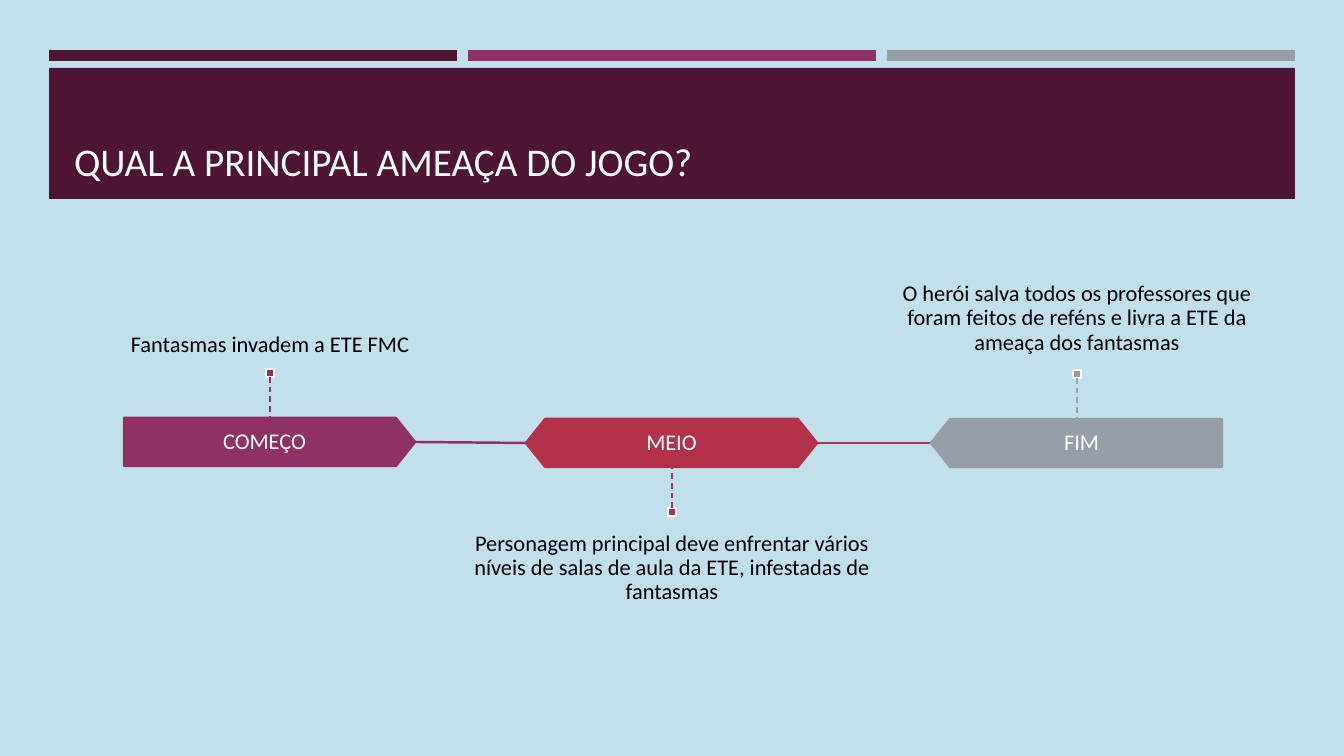
from lxml import etree
from pptx import Presentation
from pptx.dml.color import RGBColor
from pptx.enum.dml import MSO_LINE
from pptx.enum.shapes import MSO_CONNECTOR, MSO_SHAPE
from pptx.enum.text import MSO_ANCHOR, PP_ALIGN
from pptx.oxml.ns import qn
from pptx.util import Pt

RECTANGLE, PENTAGON, HEXAGON = MSO_SHAPE.RECTANGLE, MSO_SHAPE.PENTAGON, MSO_SHAPE.HEXAGON
STRAIGHT, DASH = MSO_CONNECTOR.STRAIGHT, MSO_LINE.DASH
TOP, MIDDLE, BOTTOM = MSO_ANCHOR.TOP, MSO_ANCHOR.MIDDLE, MSO_ANCHOR.BOTTOM
LEFT, CENTER = PP_ALIGN.LEFT, PP_ALIGN.CENTER

PX = 914400 / 100.8
FONT = "Calibri"
WHITE, BLACK, SKY = "FFFFFF", "000000", "C2E0EB"
PLUM, PURPLE, RED, GREY = "4D1434", "903163", "B2324B", "969FA7"

TITLE = "QUAL A PRINCIPAL AMEAÇA DO JOGO?"
BAR_COLORS = [PLUM, PURPLE, GREY]
STAGES = [
    dict(name="COMEÇO", note="Fantasmas invadem a ETE FMC", color=PURPLE,
         shape=PENTAGON, left=124, top=418, rotation=0, shift=-5, above=True),
    dict(name="MEIO", color=RED, shape=HEXAGON, left=526, top=419, rotation=0,
         note="Personagem principal deve enfrentar vários níveis de salas de aula "
              "da ETE, infestadas de fantasmas", shift=0, above=False),
    dict(name="FIM", color=GREY, shape=PENTAGON, left=931, top=419, rotation=180,
         note="O herói salva todos os professores que foram feitos de reféns e "
              "livra a ETE da ameaça dos fantasmas", shift=5, above=True),
]
STAGE_W, STAGE_H = 291, 48
NOTE_W, NOTE_H = 405, 130
MARKER, STEM = 8, 41
NOTE_GAP = 48


def px(length):
    return round(length * PX)


def rgb(code):
    return RGBColor.from_string(code)


def add_block(kind, left, top, width, height, fill, line=None):
    block = page.shapes.add_shape(kind, px(left), px(top), px(width), px(height))
    block.shadow.inherit = False
    block.fill.solid()
    block.fill.fore_color.rgb = rgb(fill)
    if line:
        block.line.color.rgb = rgb(line)
        block.line.width = Pt(1.75)
    else:
        block.line.fill.background()
    return block


def add_text(text, left, top, width, height, color, size=16, align=CENTER,
             anchor=MIDDLE, inset=(0, 0)):
    """Add a one-paragraph box; inset is (horizontal, vertical) in px."""
    box = page.shapes.add_textbox(px(left), px(top), px(width), px(height))
    across, down = map(px, inset)
    frame_format = dict(word_wrap=True, vertical_anchor=anchor, margin_left=across,
                        margin_right=across, margin_top=down, margin_bottom=down)
    for name, value in frame_format.items():
        setattr(box.text_frame, name, value)
    para = box.text_frame.paragraphs[0]
    para.alignment, para.line_spacing = align, 0.9
    span = para.add_run()
    span.text = text
    for name, value in dict(name=FONT, size=Pt(size)).items():
        setattr(span.font, name, value)
    span.font.color.rgb = rgb(color)


def add_line(start, end, color, width):
    line = page.shapes.add_connector(STRAIGHT, *map(px, start + end))
    line.line.color.rgb = rgb(color)
    line.line.width = Pt(width)
    etree.SubElement(line._element.spPr, qn("a:effectLst"))
    return line


def add_stage(stage):
    left, top, color = stage["left"], stage["top"], stage["color"]
    center = left + STAGE_W // 2 + 1
    arrow = add_block(stage["shape"], left, top, STAGE_W, STAGE_H, color, color)
    arrow.adjustments[0] = 0.4
    arrow.rotation = stage["rotation"]
    add_text(stage["name"], left + stage["shift"], top, STAGE_W, STAGE_H, WHITE)

    if stage["above"]:
        edge, marker_top = top, top - STEM - MARKER
        note_top, anchor, site = top - NOTE_GAP - NOTE_H, BOTTOM, 2
    else:
        edge, marker_top = top + STAGE_H, top + STAGE_H + STEM
        note_top, anchor, site = edge + NOTE_GAP + 1, TOP, 0
    add_text(stage["note"], center - NOTE_W / 2, note_top, NOTE_W, NOTE_H, BLACK,
             anchor=anchor, inset=(0, 16))
    marker = add_block(RECTANGLE, center - MARKER / 2, marker_top, MARKER, MARKER,
                       color, WHITE)
    stem = add_line((center, marker_top), (center, edge), color, 1)
    stem.line.dash_style = DASH
    stem.begin_connect(marker, site)


deck = Presentation()
deck.slide_width, deck.slide_height = px(1344), px(756)
page = deck.slides.add_slide(deck.slide_layouts[6])
page.background.fill.solid()
page.background.fill.fore_color.rgb = rgb(SKY)

for index, bar_color in enumerate(BAR_COLORS):
    add_block(RECTANGLE, 49 + 419 * index, 50, 408, 11, bar_color)
add_block(RECTANGLE, 49, 68, 1246, 131, PLUM)
add_text(TITLE, 64, 78, 1216, 112, "FFFEFF", 28, LEFT, BOTTOM, (10, 5))

for stage, following in zip(STAGES, STAGES[1:]):
    add_line((stage["left"] + STAGE_W, stage["top"] + STAGE_H / 2),
             (following["left"], following["top"] + STAGE_H / 2), stage["color"], 1.75)
for stage in STAGES:
    add_stage(stage)

deck.save("out.pptx")
